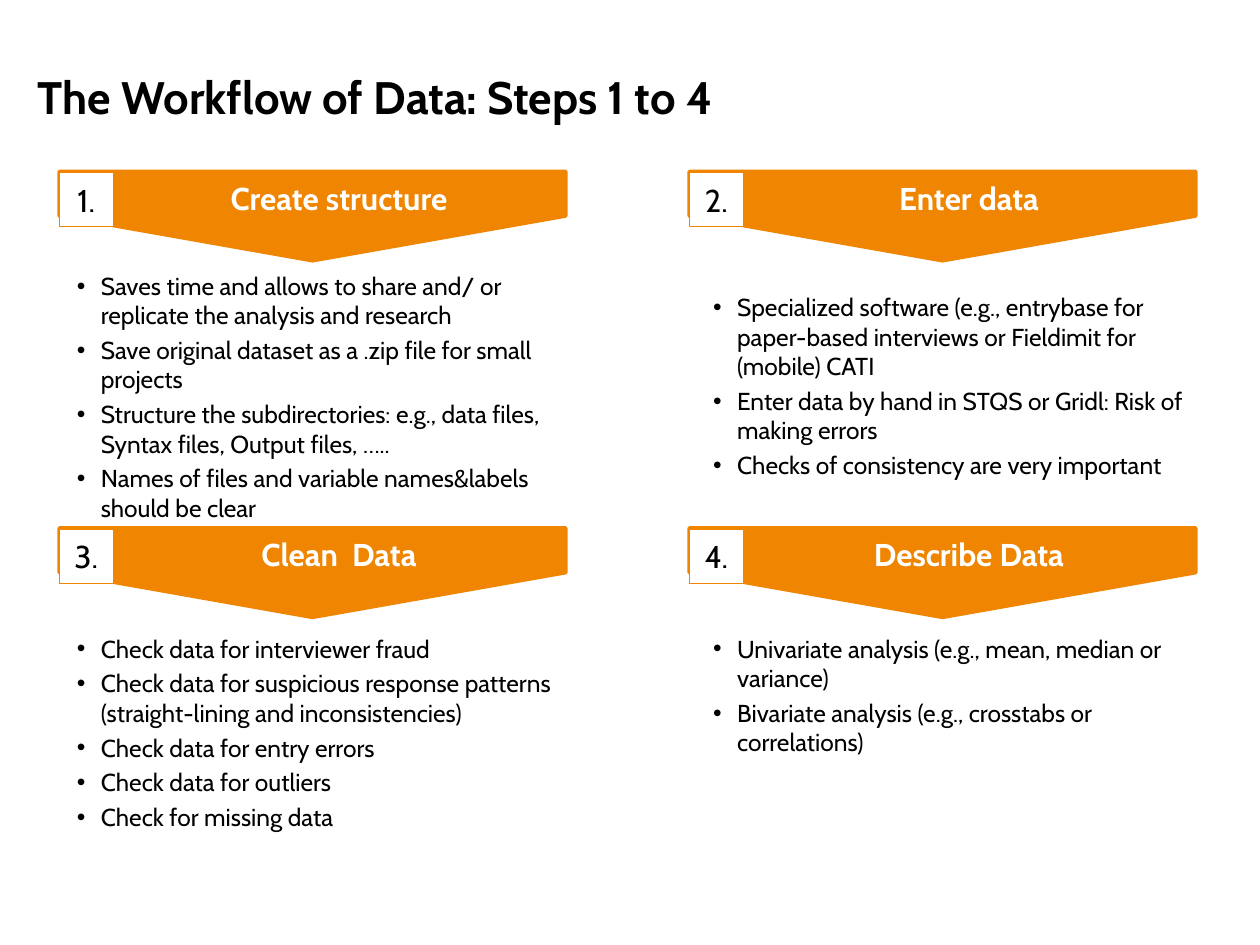
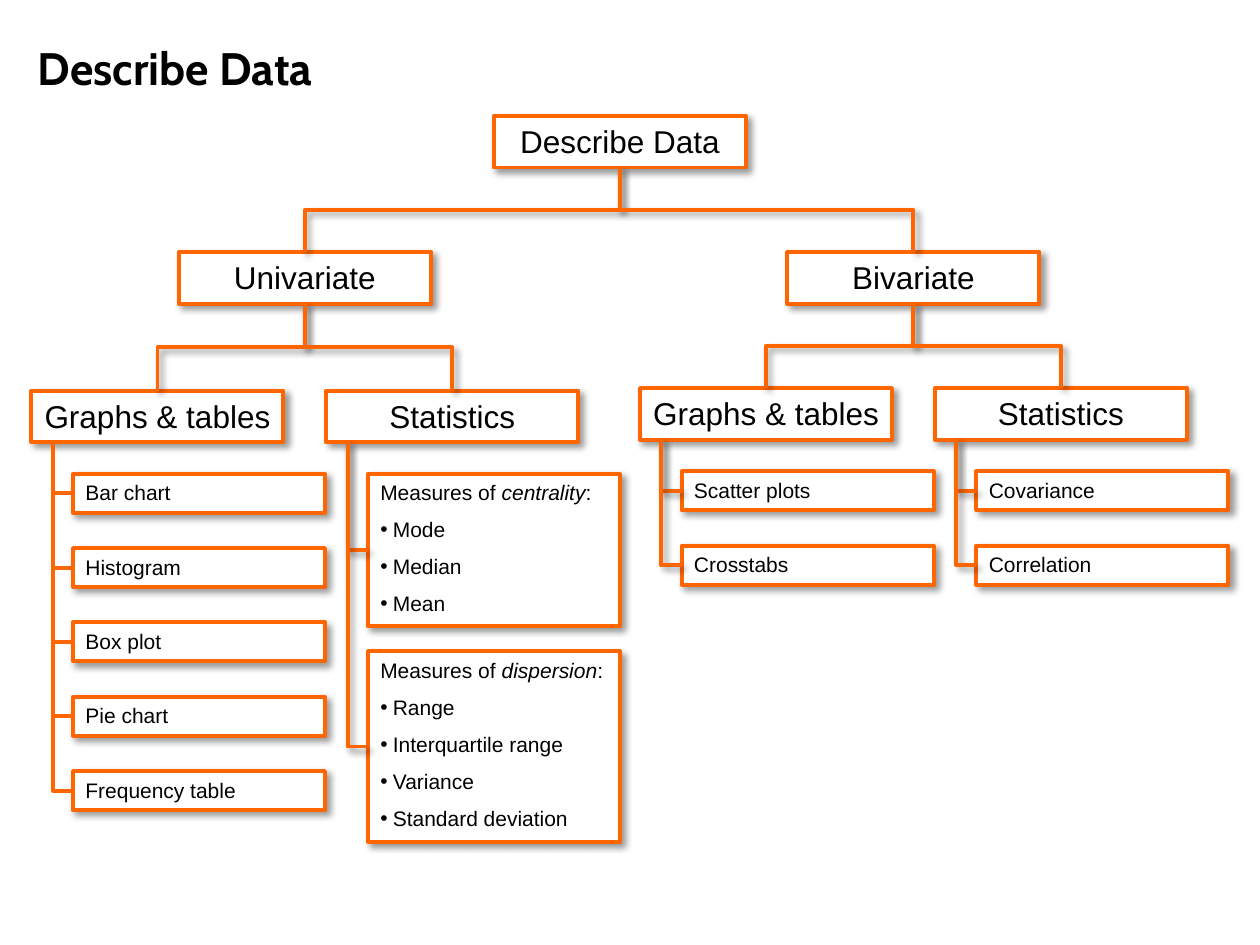
from dataclasses import dataclass

from lxml import etree
from pptx import Presentation
from pptx.dml.color import RGBColor
from pptx.enum.shapes import MSO_CONNECTOR, MSO_SHAPE
from pptx.enum.text import MSO_ANCHOR, MSO_AUTO_SIZE, PP_ALIGN
from pptx.oxml.ns import qn
from pptx.util import Inches, Pt

ELBOW = MSO_CONNECTOR.ELBOW
RECTANGLE, HOME_PLATE = MSO_SHAPE.RECTANGLE, MSO_SHAPE.PENTAGON
TOP, MIDDLE = MSO_ANCHOR.TOP, MSO_ANCHOR.MIDDLE
LEFT, CENTER = PP_ALIGN.LEFT, PP_ALIGN.CENTER
NO_FIT = MSO_AUTO_SIZE.NONE
COMPARISON_LAYOUT, TITLE_ONLY_LAYOUT = 4, 5


@dataclass(frozen=True)
class Theme:
    black: RGBColor = RGBColor(0, 0, 0)
    white: RGBColor = RGBColor(255, 255, 255)
    banner: RGBColor = RGBColor(0xEF, 0x85, 0x00)
    tree: RGBColor = RGBColor(0xFF, 0x66, 0x00)
    heading_font: str = "Cabin"
    tree_font: str = "Arial"
    title_size: int = 26
    heading_size: int = 18
    list_size: int = 14
    leaf_size: int = 12
    tree_line: float = 2.25


THEME = Theme()

# Number, heading, column left, row top, list left, list top, list height, points
STEPS = [
    ("1.", "Create structure", 0.47, 1.36, 0.51, 2.1, 2.11, [
        "Saves time and allows to share and/ or replicate the analysis and research",
        "Save original dataset as a .zip file for small projects",
        "Structure the subdirectories: e.g., data files, Syntax files, Output files, …..",
        "Names of files and variable names&labels should be clear"]),
    ("2.", "Enter data", 5.47, 1.36, 5.56, 2.27, 1.6, [
        "Specialized software (e.g., entrybase for paper-based interviews or Fieldimit for "
        "(mobile) CATI",
        "Enter data by hand in STQS or Gridl: Risk of making errors",
        "Checks of consistency are very important"]),
    ("3.", "Clean  Data", 0.47, 4.19, 0.51, 4.98, 1.96, [
        "Check data for interviewer fraud",
        "Check data for suspicious response patterns (straight-lining and inconsistencies)",
        "Check data for entry errors",
        "Check data for outliers",
        "Check for missing data"]),
    ("4.", "Describe Data", 5.47, 4.19, 5.56, 4.98, 1.09, [
        "Univariate analysis (e.g., mean, median or variance)",
        "Bivariate analysis (e.g., crosstabs or correlations)"]),
]

# Topic, left, top of its groups, groups as (name, leaf pitch, spine shadow, leaves);
# a leaf is its lead text, its italic word and its bullets
TREE = [
    ("Univariate", 1.42, 3.1, [
        ("Graphs & tables", 0.59, False, [
            ("Bar chart", "", []), ("Histogram", "", []), ("Box plot", "", []),
            ("Pie chart", "", []), ("Frequency table", "", [])]),
        ("Statistics", 1.41, True, [
            ("Measures of ", "centrality", ["Mode", "Median", "Mean"]),
            ("Measures of ", "dispersion", [
                "Range", "Interquartile range", "Variance", "Standard deviation"])]),
    ]),
    ("Bivariate", 6.25, 3.08, [
        ("Graphs & tables", 0.59, True, [("Scatter plots", "", []), ("Crosstabs", "", [])]),
        ("Statistics", 0.59, True, [("Covariance", "", []), ("Correlation", "", [])]),
    ]),
]
NODE_WIDTH, NODE_HEIGHT, LEAF_HEIGHT, BULLET_HEIGHT = 2, 0.41, 0.31, 0.3
GROUP_SHIFT, SPINE_INDENT, LEAF_INDENT, LEAF_DROP = 1.17, 0.17, 0.33, 0.66


def set_attributes(target, values):
    for name, value in values.items():
        setattr(target, name, value)


def place(shape, left, top, width, height):
    set_attributes(shape, {"left": Inches(left), "top": Inches(top),
                           "width": Inches(width), "height": Inches(height)})


def format_frame(frame, anchor=TOP, **values):
    set_attributes(frame, {"word_wrap": True, "auto_size": NO_FIT,
                           "vertical_anchor": anchor, **values})


def add_run(paragraph, text, size, font=THEME.heading_font, color=THEME.black, **style):
    run = paragraph.add_run()
    run.text = text
    set_attributes(run.font, {"name": font, "size": Pt(size), "bold": False, **style})
    run.font.color.rgb = color


def add_bullet(paragraph, indent):
    """Hang a round bullet; call it after the spacing is set."""
    properties = paragraph._p.get_or_add_pPr()
    properties.set("marL", str(Inches(indent)))
    properties.set("indent", str(-Inches(indent)))
    etree.SubElement(properties, qn("a:buFont")).set("typeface", "Arial")
    etree.SubElement(properties, qn("a:buChar")).set("char", "•")


def add_effects(shape, shadow):
    """Replace the inherited effects by the soft tree shadow or by nothing."""
    effects = etree.SubElement(shape._element.spPr, qn("a:effectLst"))
    if shadow:
        outer = etree.SubElement(effects, qn("a:outerShdw"), blurRad=str(Pt(4)),
                                 dist=str(Pt(3)), dir="2700000", algn="tl", rotWithShape="0")
        color = etree.SubElement(outer, qn("a:srgbClr"), val="000000")
        etree.SubElement(color, qn("a:alpha"), val="40000")


def add_box(slide, box, fill, line, line_width, preset=RECTANGLE, shadow=False):
    shape = slide.shapes.add_shape(preset, *map(Inches, box))
    shape.fill.solid()
    shape.fill.fore_color.rgb = fill
    shape.line.color.rgb = line
    shape.line.width = Pt(line_width)
    add_effects(shape, shadow)
    return shape


def add_title(slide, text, lift=0):
    """Fill the title placeholder, raising its text by lift inches."""
    title = slide.shapes.title
    place(title, 0.2, 0.14, 9.61, 1.25)
    format_frame(title.text_frame, MIDDLE, margin_bottom=Inches(0.05 + 2 * lift))
    paragraph = title.text_frame.paragraphs[0]
    paragraph.alignment = LEFT
    add_run(paragraph, text, THEME.title_size, bold=True)


def add_banner(slide, number, heading, left, top):
    width, height = 4.02, 0.71
    # The plate is upright until it is turned, so its box is swapped about the centre.
    offset = (width - height) / 2
    plate = add_box(slide, (left + offset, top - offset, height, width),
                    THEME.banner, THEME.banner, 2, HOME_PLATE)
    plate.rotation = 90

    badge = add_box(slide, (left, top + 0.01, 0.43, 0.43), THEME.white, THEME.banner, 0.75)
    format_frame(badge.text_frame, MIDDLE, margin_left=0, margin_right=0)
    caption = slide.shapes.add_textbox(
        *map(Inches, (left + 0.43, top + 0.01, 3.58, 0.4)))
    format_frame(caption.text_frame)
    for shape, text, color, bold in ((badge, number, THEME.black, False),
                                     (caption, heading, THEME.white, True)):
        paragraph = shape.text_frame.paragraphs[0]
        paragraph.alignment = CENTER
        add_run(paragraph, text, THEME.heading_size, color=color, bold=bold)


def fill_list(placeholder, box, points):
    place(placeholder, *box)
    frame = placeholder.text_frame
    format_frame(frame)
    for index, point in enumerate(points):
        paragraph = frame.add_paragraph() if index else frame.paragraphs[0]
        paragraph.space_before = Pt(3)
        add_bullet(paragraph, 0.19)
        add_run(paragraph, point, THEME.list_size)


def add_node(slide, left, top, height=NODE_HEIGHT):
    node = add_box(slide, (left, top, NODE_WIDTH, height),
                   THEME.white, THEME.tree, THEME.tree_line, shadow=True)
    format_frame(node.text_frame)
    return node.text_frame


def add_heading_node(slide, text, left, top):
    paragraph = add_node(slide, left, top).paragraphs[0]
    paragraph.alignment = CENTER
    add_run(paragraph, text, THEME.heading_size, THEME.tree_font)


def add_leaf(slide, left, top, lead, italic_word, bullets):
    """Draw a leaf box and return the height of its middle."""
    height = LEAF_HEIGHT + BULLET_HEIGHT * len(bullets)
    frame = add_node(slide, left, top, height)
    style = {"size": THEME.leaf_size, "font": THEME.tree_font}
    paragraph = frame.paragraphs[0]
    paragraph.alignment = LEFT
    add_run(paragraph, lead, **style)
    if italic_word:
        add_run(paragraph, italic_word, italic=True, **style)
        add_run(paragraph, ":", **style)
    for bullet in bullets:
        paragraph = frame.add_paragraph()
        set_attributes(paragraph, {"alignment": LEFT, "space_before": Pt(6.75)})
        add_bullet(paragraph, 0.1)
        add_run(paragraph, bullet, **style)
    return top + height / 2


def add_elbow(slide, start, end, preset="bentConnector3", shadow=True):
    """Join two points by a bent line that leaves the start downwards."""
    (x1, y1), (x2, y2) = start, end
    center_x, center_y = (x1 + x2) / 2, (y1 + y2) / 2
    half_width, half_height = (y2 - y1) / 2, abs(x2 - x1) / 2
    turn, side = (270, 1) if x2 > x1 else (90, -1)
    connector = slide.shapes.add_connector(
        ELBOW,
        Inches(center_x + side * half_width), Inches(center_y - half_height),
        Inches(center_x - side * half_width), Inches(center_y + half_height))
    properties = connector._element.spPr
    properties.find(qn("a:xfrm")).set("rot", str(turn * 60000))
    properties.find(qn("a:prstGeom")).set("prst", preset)
    connector.line.color.rgb = THEME.tree
    connector.line.width = Pt(THEME.tree_line)
    add_effects(connector, shadow)


def add_group(slide, left, top, name, pitch, spine_shadow, leaves):
    add_heading_node(slide, name, left, top)
    spine_start = (left + SPINE_INDENT, top + NODE_HEIGHT)
    leaf_left = left + LEAF_INDENT
    for index, leaf in enumerate(leaves):
        middle = add_leaf(slide, leaf_left, top + LEAF_DROP + index * pitch, *leaf)
        add_elbow(slide, spine_start, (leaf_left, middle), "bentConnector2", spine_shadow)


def build_workflow(presentation):
    slide = presentation.slides.add_slide(presentation.slide_layouts[COMPARISON_LAYOUT])
    add_title(slide, "The Workflow of Data: Steps 1 to 4")
    lists = [holder for holder in slide.placeholders if holder.placeholder_format.idx]
    for holder, step in zip(lists, STEPS):
        number, heading, left, top, list_left, list_top, list_height, points = step
        add_banner(slide, number, heading, left, top)
        fill_list(holder, (list_left, list_top, 3.97, list_height), points)


def build_tree(presentation):
    slide = presentation.slides.add_slide(presentation.slide_layouts[TITLE_ONLY_LAYOUT])
    add_title(slide, "Describe Data", lift=0.23)
    root_left, root_top, topic_top = 3.92, 0.92, 2
    half = NODE_WIDTH / 2
    add_heading_node(slide, "Describe Data", root_left, root_top)
    for topic, left, group_top, groups in TREE:
        add_heading_node(slide, topic, left, topic_top)
        add_elbow(slide, (root_left + half, root_top + NODE_HEIGHT), (left + half, topic_top))
        for side, group in zip((-1, 1), groups):
            group_left = left + side * GROUP_SHIFT
            add_group(slide, group_left, group_top, *group)
            add_elbow(slide, (left + half, topic_top + NODE_HEIGHT),
                      (group_left + half, group_top))


def main():
    presentation = Presentation()
    set_attributes(presentation, {"slide_width": Inches(10), "slide_height": Inches(7.5)})
    build_workflow(presentation)
    build_tree(presentation)
    presentation.save("out.pptx")


if __name__ == "__main__":
    main()
